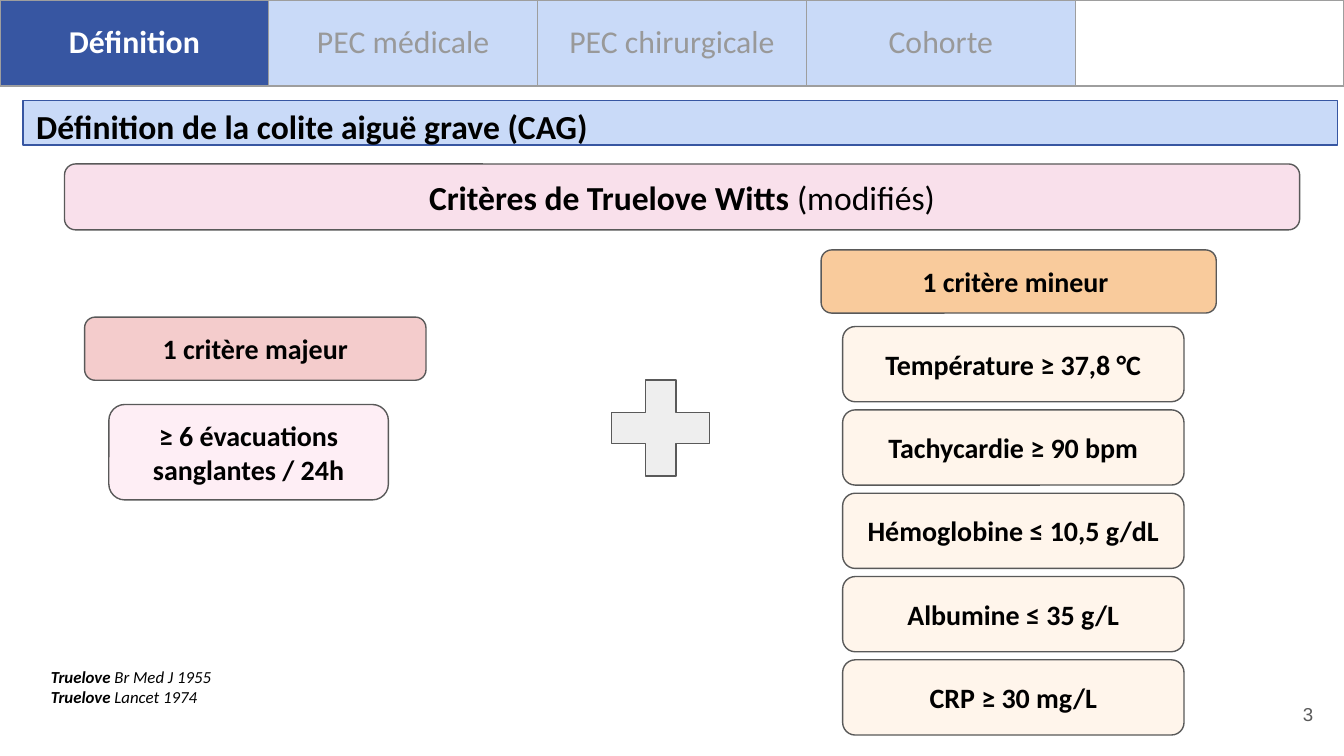
import pptx
import pptx.util
import pptx.dml.color
import pptx.enum.shapes
import pptx.enum.text
import pptx.oxml
import pptx.oxml.ns

Inches = pptx.util.Inches
Pt = pptx.util.Pt
SHAPE = pptx.enum.shapes.MSO_SHAPE
ALIGN = pptx.enum.text.PP_ALIGN
MIDDLE = pptx.enum.text.MSO_ANCHOR.MIDDLE

COLORS = {
    "black": "000000", "white": "FFFFFF", "line": "595959",
    "navy": "3756A2", "sky": "C9DAF8", "muted": "999999", "grid": "9E9E9E",
    "rose": "F9E0EB", "red": "F4CCCC", "blush": "FEEEF5",
    "orange": "F9CB9C", "cream": "FFF5EB", "plus": "EEEEEE",
}
TABS = ["Définition", "PEC médicale", "PEC chirurgicale", "Cohorte", ""]
MINOR = [
    "Température ≥ 37,8 °C", "Tachycardie ≥ 90 bpm",
    "Hémoglobine ≤ 10,5 g/dL", "Albumine ≤ 35 g/L", "CRP ≥ 30 mg/L",
]
SOURCES = [("Truelove", " Br Med J 1955"), ("Truelove ", "Lancet 1974")]


def rgb(name):
    return pptx.dml.color.RGBColor.from_string(COLORS[name])


def style(para, size, color="black", bold=None, align=ALIGN.CENTER, face="Calibri"):
    para.alignment = align
    font = para.font
    font.name, font.size, font.bold = face, Pt(size), bold
    font.color.rgb = rgb(color)


def pad(frame, side=0.1, ends=0.1):
    frame.word_wrap = True
    frame.margin_left = frame.margin_right = Inches(side)
    frame.margin_top = frame.margin_bottom = Inches(ends)


def add_form(slide, kind, box, fill, line="line"):
    form = slide.shapes.add_shape(kind, *map(Inches, box))
    form.shadow.inherit = False
    form.fill.solid()
    form.fill.fore_color.rgb = rgb(fill)
    form.line.color.rgb = rgb(line)
    form.line.width = Pt(0.75)
    return form


def add_card(slide, box, fill, text, size=15):
    """Add a rounded box with bold centred text and return its paragraph."""
    frame = add_form(slide, SHAPE.ROUNDED_RECTANGLE, box, fill).text_frame
    pad(frame)
    frame.vertical_anchor = MIDDLE
    para = frame.paragraphs[0]
    para.add_run().text = text
    style(para, size, bold=True)
    return para


def add_text(slide, box):
    frame = slide.shapes.add_textbox(*map(Inches, box)).text_frame
    pad(frame)
    return frame


def add_title(slide, text):
    bar = add_form(slide, SHAPE.RECTANGLE, (0.17, 0.75, 9.78, 0.33), "sky", "navy")
    frame = bar.text_frame
    pad(frame, ends=0)
    frame.vertical_anchor = MIDDLE
    para = frame.paragraphs[0]
    para.text = text
    para.line_spacing = 1.15
    style(para, 18, bold=True, align=ALIGN.LEFT)


def add_refs(slide):
    frame = add_text(slide, (0.28, 4.86, 9.7, 0.51))
    for i, (name, rest) in enumerate(SOURCES):
        para = frame.add_paragraph() if i else frame.paragraphs[0]
        style(para, 9, align=ALIGN.LEFT)
        para.font.italic = True
        run = para.add_run()
        run.text = name
        run.font.bold = True
        para.add_run().text = rest


def add_edges(cell):
    """Draw the four borders of a cell, ahead of its fill."""
    props = cell._tc.get_or_add_tcPr()
    space = pptx.oxml.ns.nsdecls("a")
    for i, side in enumerate("LRTB"):
        props.insert(i, pptx.oxml.parse_xml(
            f'<a:ln{side} {space} w="{Pt(0.75)}"><a:solidFill>'
            f'<a:srgbClr val="{COLORS["grid"]}"/></a:solidFill></a:ln{side}>'))


def add_tabs(slide, active=0):
    box = map(Inches, (0, 0, 10, 0.64))
    table = slide.shapes.add_table(1, len(TABS), *box).table
    table.first_row = table.horz_banding = False
    for i, text in enumerate(TABS):
        cell = table.cell(0, i)
        on = i == active
        cell.fill.solid()
        cell.fill.fore_color.rgb = rgb("navy" if on else "sky" if text else "white")
        cell.margin_left = cell.margin_right = Inches(0.1)
        cell.margin_top = cell.margin_bottom = Inches(0.1)
        cell.vertical_anchor = MIDDLE
        cell.text = text
        style(cell.text_frame.paragraphs[0], 17, "white" if on else "muted", on)
        add_edges(cell)


def main():
    deck = pptx.Presentation()
    deck.slide_width = Inches(10)
    deck.slide_height = Inches(10) * 9 // 16
    slide = deck.slides.add_slide(deck.slide_layouts[6])

    add_card(slide, (0.81, 3.01, 2.08, 0.71), "blush", "≥ 6 évacuations sanglantes / 24h")
    head = add_card(slide, (0.48, 1.22, 9.19, 0.49), "rose", "Critères de Truelove Witts ", 18)
    note = head.add_run()
    note.text = "(modifiés)"
    note.font.bold = False
    add_refs(slide)
    add_card(slide, (0.63, 2.36, 2.54, 0.47), "red", "1 critère majeur")
    add_card(slide, (6.11, 1.86, 2.94, 0.47), "orange", "1 critère mineur ")
    for i, text in enumerate(MINOR):
        add_card(slide, (6.27, 2.43 + 0.62 * i, 2.54, 0.56), "cream", text)
    add_form(slide, SHAPE.MATH_PLUS, (4.42, 2.7, 0.99, 0.97), "plus")

    frame = add_text(slide, (9.27, 5.1, 0.6, 0.43))
    frame.vertical_anchor = MIDDLE
    frame.text = "3"
    style(frame.paragraphs[0], 10, "line", align=ALIGN.RIGHT, face="Arial")

    add_tabs(slide)
    add_title(slide, "Définition de la colite aiguë grave (CAG)")
    deck.save("out.pptx")


if __name__ == "__main__":
    main()
